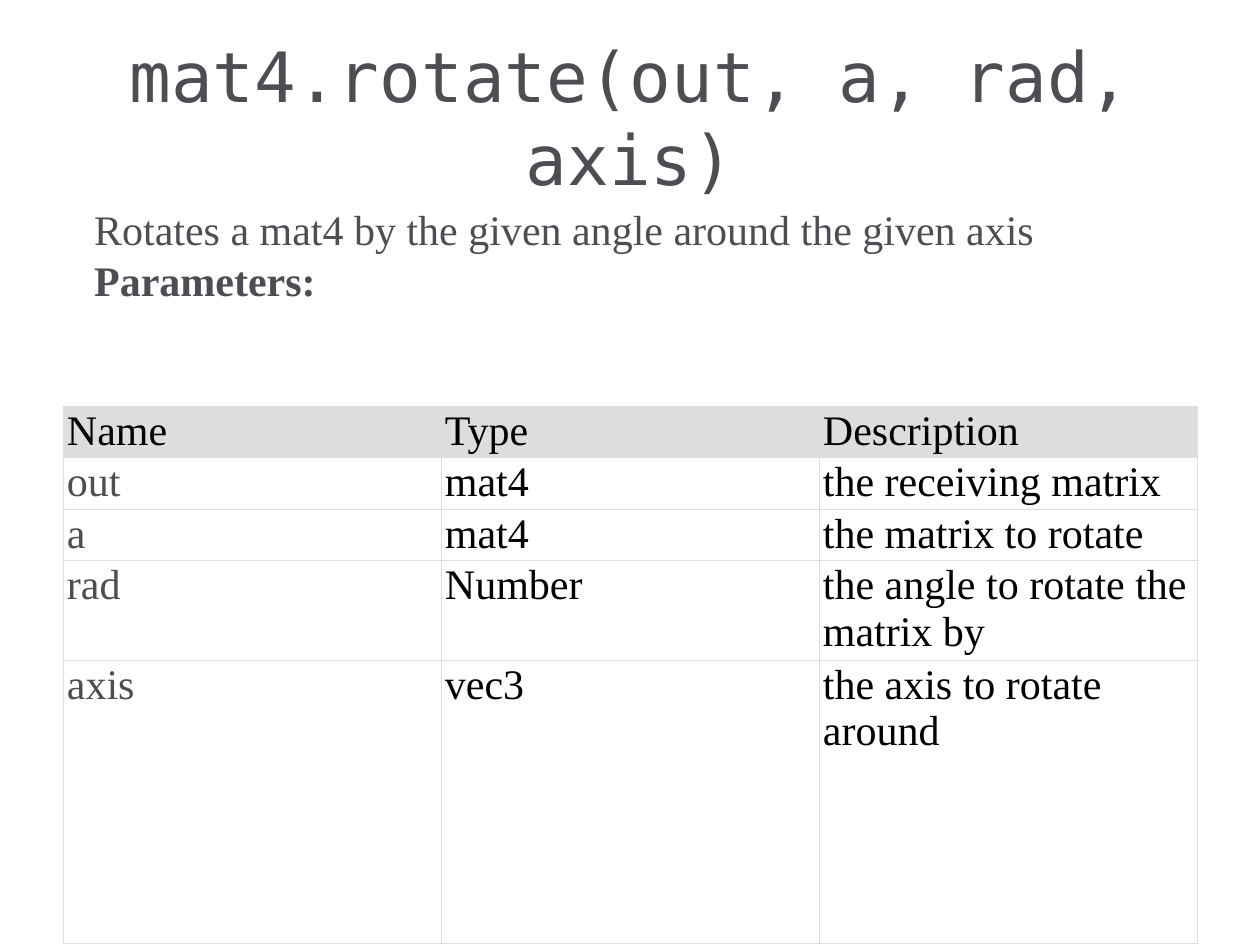
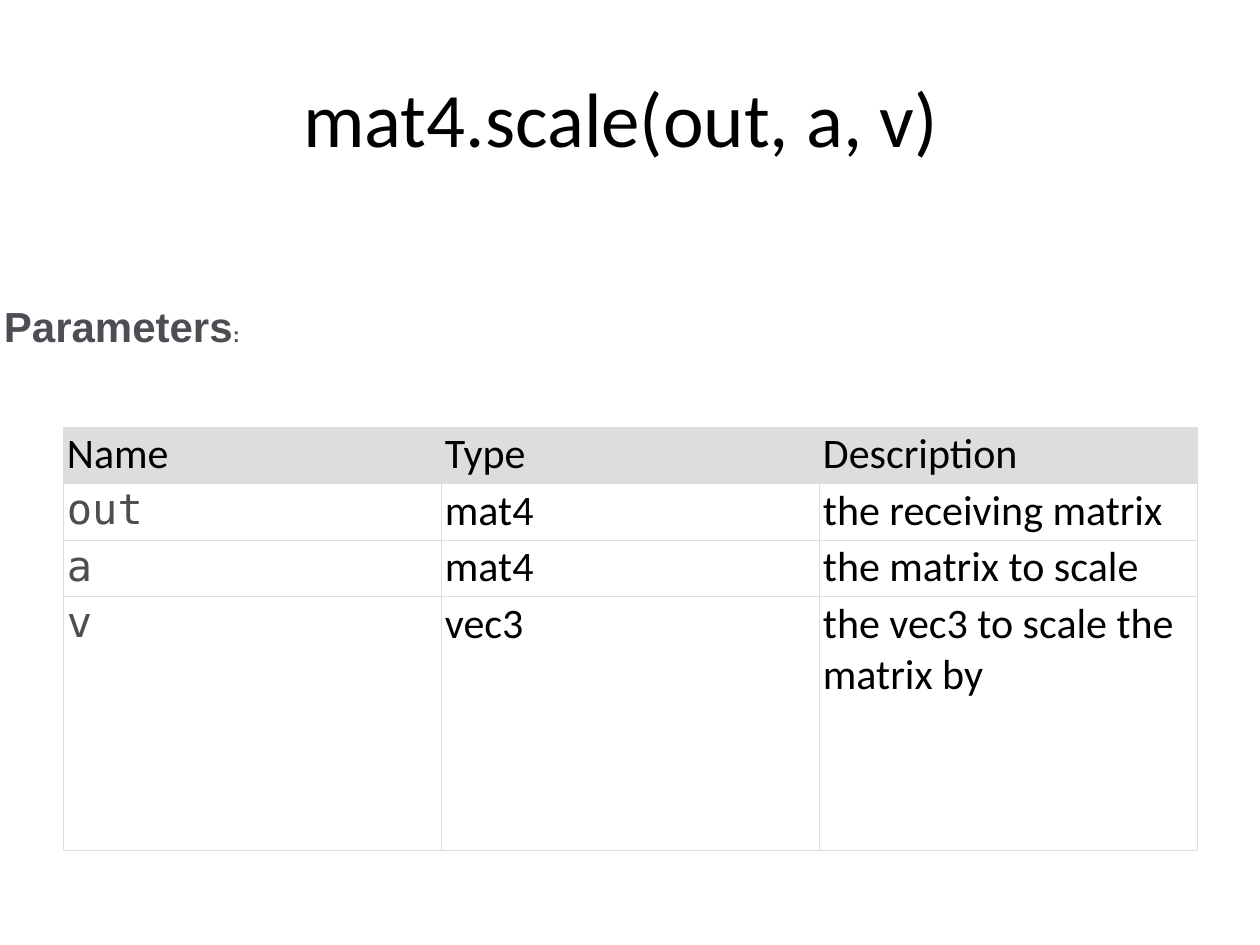
from lxml.etree import SubElement
from pptx import Presentation
from pptx.dml.color import RGBColor
from pptx.enum.text import MSO_ANCHOR as Anchor, MSO_AUTO_SIZE as AutoSize, PP_ALIGN as Align
from pptx.oxml.ns import qn
from pptx.util import Cm, Pt

GREY, BLACK, WHITE, RULE = "4D4E53", "000000", "FFFFFF", "DDDDDD"
SERIF, SANS, ARIAL, MONO = "Times New Roman", "Calibri", "Arial", "DejaVu Sans Mono"
HEADINGS = ("Name", "Type", "Description")
COLUMN_WIDTH = 7.62


def write(para, text, font=SANS, size=24, color=BLACK, bold=False):
    """Add a formatted span of text to a paragraph."""
    span = para.add_run()
    span.text = text
    span.font.name, span.font.size, span.font.bold = font, Pt(size), bold
    span.font.color.rgb = RGBColor.from_string(color)


def paint_cell(cell, color):
    """Give a table cell thin borders and a plain fill."""
    properties = cell._tc.get_or_add_tcPr()
    for side in ("lnL", "lnR", "lnT", "lnB"):
        line = SubElement(properties, qn("a:" + side), w=str(Pt(0.38)))
        SubElement(SubElement(line, qn("a:solidFill")), qn("a:srgbClr"), val=RULE)
    cell.fill.solid()
    cell.fill.fore_color.rgb = RGBColor.from_string(color)


# Each intro line is a list of (text, format) spans; boxes are left, top, width, height in cm.
pages = [
    dict(
        title="mat4.rotate(out, a, rad, axis)",
        title_format=dict(font=MONO, size=39.6, color=GREY),
        intro_box=(1.9, 4.11, 19.1, 3.1),
        intro=[
            [("Rotates a mat4 by the given angle around the given axis", dict(font=SERIF))],
            [("Parameters:", dict(font=SERIF, bold=True))],
        ],
        table_top=8.18,
        row_heights=(1.04, 1.04, 1.04, 2, 5.72),
        name_font=SERIF,
        text_font=SERIF,
        rows=[
            ("out", "mat4", "the receiving matrix"),
            ("a", "mat4", "the matrix to rotate"),
            ("rad", "Number", "the angle to rotate the matrix by"),
            ("axis", "vec3", "the axis to rotate around"),
        ],
    ),
    dict(
        title="mat4.scale(out, a, v)\u00a0",
        title_format=dict(size=44),
        intro_box=(0.08, 6.05, 4.8, 2.08),
        intro=[
            [("Parameters", dict(font=ARIAL, bold=True)),
             (":", dict(font=ARIAL, size=12, bold=True))],
        ],
        table_top=8.61,
        row_heights=(1.14, 1.14, 1.14, 5.11),
        name_font=MONO,
        text_font=SANS,
        rows=[
            ("out", "mat4", "the receiving matrix"),
            ("a", "mat4", "the matrix to scale"),
            ("v", "vec3", "the vec3 to scale the matrix by"),
        ],
    ),
]

deck = Presentation()
deck.slide_width, deck.slide_height = Cm(25.4), Cm(19.05)
title_only = deck.slide_layouts[5]

for page in pages:
    slide = deck.slides.add_slide(title_only)

    title = slide.shapes.title
    title.left, title.top, title.width, title.height = Cm(1.27), Cm(0.76), Cm(22.86), Cm(3.18)
    title.text_frame.auto_size = AutoSize.NONE
    title.text_frame.vertical_anchor = Anchor.MIDDLE
    para = title.text_frame.paragraphs[0]
    para.alignment = Align.CENTER
    write(para, page["title"], **page["title_format"])

    # Parameter table
    rows = [HEADINGS] + page["rows"]
    table = slide.shapes.add_table(
        len(rows), len(HEADINGS), Cm(1.27), Cm(page["table_top"]),
        Cm(COLUMN_WIDTH * len(HEADINGS)), Cm(sum(page["row_heights"]))).table
    table.horz_banding = table.first_row = False
    for column in table.columns:
        column.width = Cm(COLUMN_WIDTH)
    for row_index, texts in enumerate(rows):
        table.rows[row_index].height = Cm(page["row_heights"][row_index])
        for column_index, text in enumerate(texts):
            cell = table.cell(row_index, column_index)
            cell.margin_left = cell.margin_right = Cm(0.08)
            cell.margin_top = cell.margin_bottom = Cm(0.04)
            paint_cell(cell, RULE if row_index == 0 else WHITE)
            is_name = row_index > 0 and column_index == 0
            write(cell.text_frame.paragraphs[0], text,
                  font=page["name_font"] if is_name else page["text_font"],
                  color=GREY if is_name else BLACK)

    # Introduction above the table
    box = slide.shapes.add_textbox(*[Cm(length) for length in page["intro_box"]])
    box.fill.solid()
    box.fill.fore_color.rgb = RGBColor.from_string(WHITE)
    frame = box.text_frame
    frame.word_wrap = True
    frame.margin_left = frame.margin_right = frame.margin_top = frame.margin_bottom = 0
    for line_index, line in enumerate(page["intro"]):
        para = frame.add_paragraph() if line_index else frame.paragraphs[0]
        for text, text_format in line:
            write(para, text, color=GREY, **text_format)

deck.save("out.pptx")
